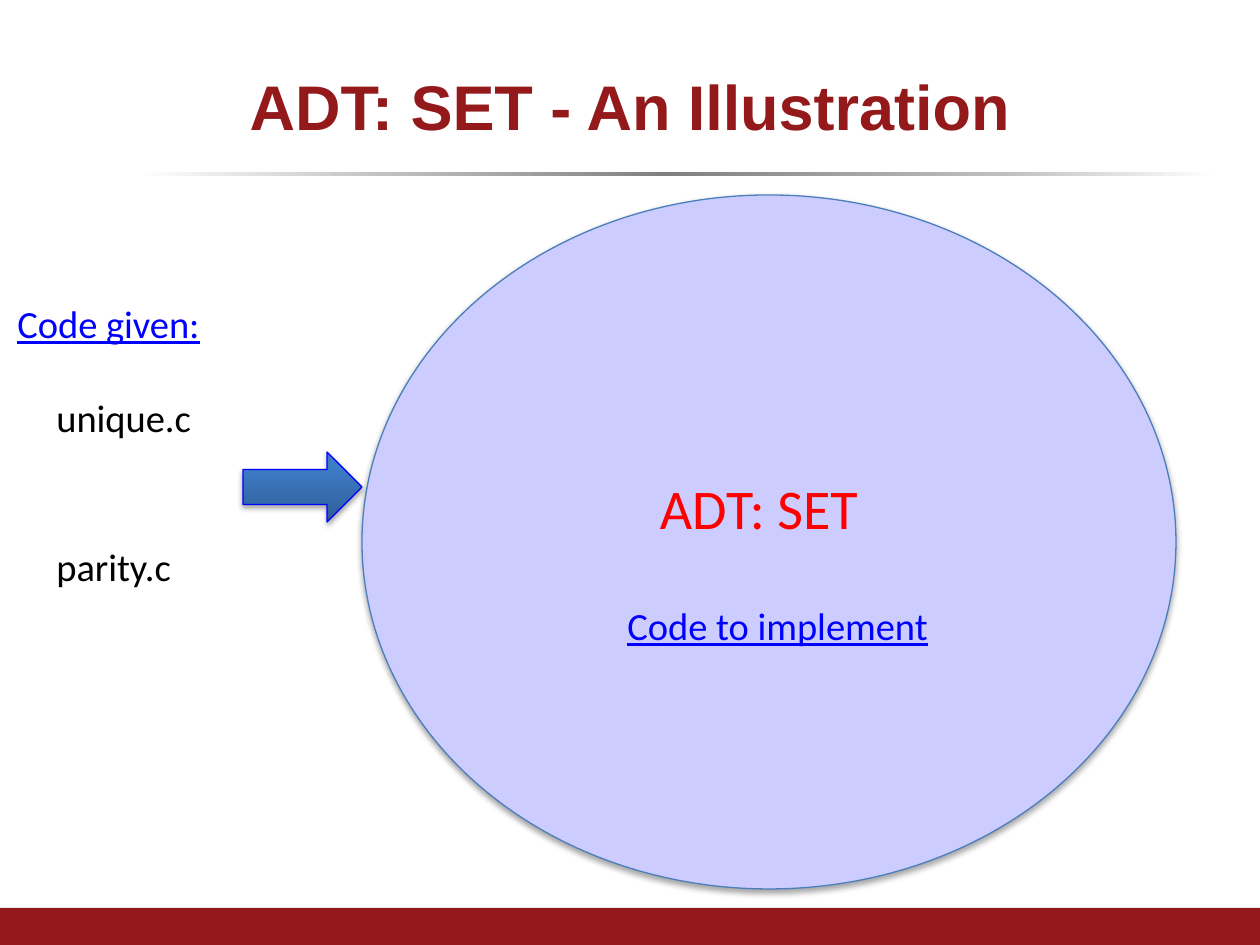
from dataclasses import dataclass

from lxml.etree import SubElement
from pptx import Presentation
from pptx.dml.color import RGBColor
from pptx.enum.shapes import MSO_SHAPE as Preset
from pptx.enum.text import MSO_ANCHOR as Anchor, MSO_AUTO_SIZE as AutoSize, PP_ALIGN as Align
from pptx.oxml.ns import qn
from pptx.shapes.autoshape import Shape
from pptx.util import Emu, Pt

EMU_PER_PX = 914400 / 126
MAROON = "93191B"
BLUE = "0000FF"


@dataclass
class Box:
    left: int
    top: int
    width: int
    height: int

    def emu(self) -> list[Emu]:
        return [px(n) for n in (self.left, self.top, self.width, self.height)]


@dataclass
class Label:
    text: str
    box: Box
    color: str = "000000"
    size: int = 22
    align: Align = Align.LEFT
    underline: bool = False


def px(length: int) -> Emu:
    return Emu(round(length * EMU_PER_PX))


def rgb(color: str) -> RGBColor:
    return RGBColor.from_string(color)


def fill_gradient(shape: Shape, stops: list[tuple[int, str]], angle: int) -> None:
    shape.fill.gradient()
    shape.fill.gradient_angle = angle
    stop_list = shape._element.spPr.find(qn("a:gradFill")).find(qn("a:gsLst"))
    for stop in list(stop_list):
        stop_list.remove(stop)
    for percent, color in stops:
        stop = SubElement(stop_list, qn("a:gs"), pos=str(percent * 1000))
        SubElement(stop, qn("a:srgbClr"), val=color)


def add_shadow(shape: Shape) -> None:
    effects = shape._element.spPr.find(qn("a:effectLst"))
    shadow = SubElement(effects, qn("a:outerShdw"), blurRad="40000", dist="23000",
                        dir="5400000", rotWithShape="0")
    color = SubElement(shadow, qn("a:srgbClr"), val="000000")
    SubElement(color, qn("a:alpha"), val="35000")


def draw_shape(slide, preset: Preset, box: Box, fill: str | None = None,
               line: str | None = None) -> Shape:
    shape = slide.shapes.add_shape(preset, *box.emu())
    shape.shadow.inherit = False
    if fill:
        shape.fill.solid()
        shape.fill.fore_color.rgb = rgb(fill)
    if line:
        shape.line.color.rgb = rgb(line)
        shape.line.width = Pt(0.75)
        add_shadow(shape)
    else:
        shape.line.fill.background()
    return shape


def draw_label(slide, label: Label) -> None:
    frame = slide.shapes.add_textbox(*label.box.emu()).text_frame
    frame.word_wrap = True
    frame.auto_size = AutoSize.SHAPE_TO_FIT_TEXT
    paragraph = frame.paragraphs[0]
    paragraph.text = label.text
    paragraph.alignment = label.align
    font = paragraph.font
    font.name = "Calibri"
    font.size = Pt(label.size)
    font.color.rgb = rgb(label.color)
    font.underline = label.underline


def draw_title(slide, text: str, box: Box) -> None:
    title = slide.shapes.title
    title.left, title.top, title.width, title.height = box.emu()
    frame = title.text_frame
    frame.text = text
    frame.vertical_anchor = Anchor.MIDDLE
    paragraph = frame.paragraphs[0]
    paragraph.alignment = Align.CENTER
    font = paragraph.font
    font.name = "Arial"
    font.size = Pt(36)
    font.bold = True
    font.color.rgb = rgb(MAROON)


RULE_STOPS = [(0, "FFFFFF"), (24, "BFBFBF"), (49, "808080"), (80, "BFBFBF"), (100, "FFFFFF")]
ARROW_STOPS = [(0, "2F5F99"), (80, "3D7CC7"), (100, "3A7CCB")]
LABELS = [
    Label("unique.c", Box(44, 388, 238, 59)),
    Label("parity.c", Box(44, 537, 238, 59)),
    Label("ADT: SET", Box(600, 467, 318, 81), "FF0000", 32, Align.CENTER),
    Label("Code given:", Box(5, 294, 367, 59), BLUE, underline=True),
    Label("Code to implement", Box(615, 596, 571, 59), BLUE, underline=True),
]


def main() -> None:
    presentation = Presentation()
    presentation.slide_width, presentation.slide_height = px(1260), px(945)
    slide = presentation.slides.add_slide(presentation.slide_layouts[5])

    draw_title(slide, "ADT: SET - An Illustration", Box(63, 38, 1134, 135))
    title_rule = draw_shape(slide, Preset.RECTANGLE, Box(136, 172, 1081, 4))
    fill_gradient(title_rule, RULE_STOPS, 0)
    draw_shape(slide, Preset.RECTANGLE, Box(0, 908, 1260, 37), MAROON)

    draw_shape(slide, Preset.OVAL, Box(362, 195, 814, 694), "CCCCFF", "4B7EBC")
    arrow = draw_shape(slide, Preset.RIGHT_ARROW, Box(243, 452, 119, 70), line=BLUE)
    fill_gradient(arrow, ARROW_STOPS, 90)
    for label in LABELS:
        draw_label(slide, label)

    presentation.save("out.pptx")


if __name__ == "__main__":
    main()
